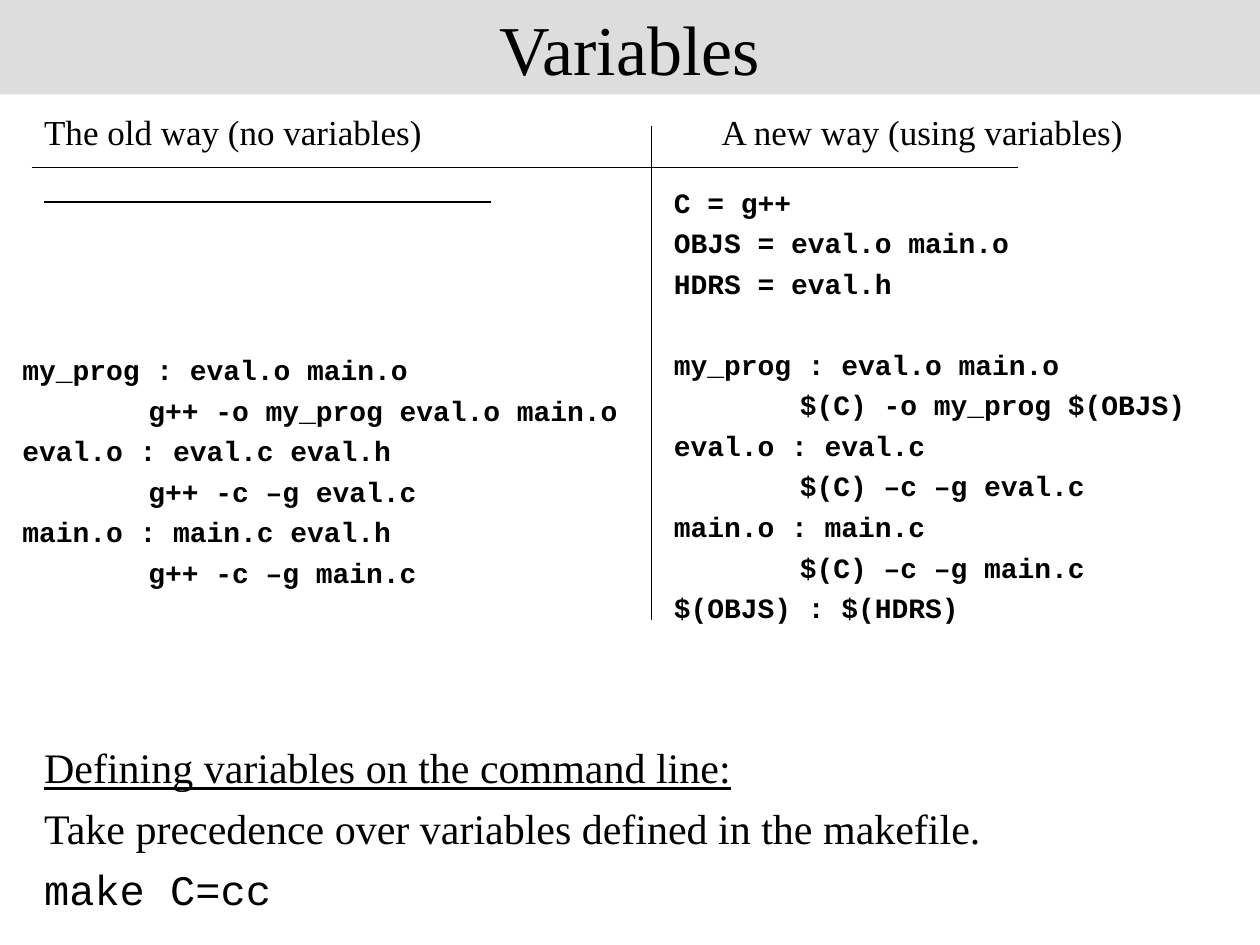
from lxml import etree
from pptx import Presentation
from pptx.dml.color import RGBColor
from pptx.enum.shapes import MSO_CONNECTOR
from pptx.enum.text import MSO_ANCHOR, MSO_AUTO_SIZE, PP_ALIGN
from pptx.oxml.ns import qn
from pptx.util import Inches, Pt

LINE = MSO_CONNECTOR.STRAIGHT
MIDDLE, TOP = MSO_ANCHOR.MIDDLE, MSO_ANCHOR.TOP
NO_FIT = MSO_AUTO_SIZE.NONE
CENTER, LEFT = PP_ALIGN.CENTER, PP_ALIGN.LEFT

COLORS = {"text": "000000", "bar": "DDDDDD", "page": "FFFFFF"}
SERIF, MONO = "Times New Roman", "Courier New"

OLD_RULES = [
    ("my_prog : eval.o main.o", "g++ -o my_prog eval.o main.o"),
    ("eval.o : eval.c eval.h", "g++ -c –g eval.c"),
    ("main.o : main.c eval.h", "g++ -c –g main.c"),
]
DEFINITIONS = [("C = g++",), ("OBJS = eval.o main.o",), ("HDRS = eval.h",)]
NEW_RULES = [
    ("my_prog : eval.o main.o", "$(C) -o my_prog $(OBJS)"),
    ("eval.o : eval.c", "$(C) –c –g eval.c"),
    ("main.o : main.c", "$(C) –c –g main.c"),
    ("$(OBJS) : $(HDRS)",),
]
BODY = [
    ("The old way (no variables)", 20, SERIF, 3.5, False),
    ("Defining variables on the command line:", 24, SERIF, 336.5, True),
    ("Take precedence over variables defined in the makefile.", 24, SERIF, 6, False),
    ("make C=cc", 24, MONO, 6, False),
]


def color(name):
    """Return the named colour."""
    return RGBColor.from_string(COLORS[name])


def place(shape, box):
    """Move a shape to a box of left, top, width and height in inches."""
    shape.left, shape.top, shape.width, shape.height = map(Inches, box)


def style(para, size, face, before=0, bold=False, underline=False):
    """Format a paragraph and its runs."""
    para.space_before, para.space_after = Pt(before), Pt(0)
    para.line_spacing = 1.0
    for span in para.runs:
        font = span.font
        font.size, font.name = Pt(size), face
        font.bold, font.underline = bold, underline
        font.color.rgb = color("text")


def set_indent(para, indent=0):
    """Remove the bullet and set the left indent in inches."""
    properties = para._p.get_or_add_pPr()
    properties.set("marL", str(Inches(indent)))
    properties.set("indent", "0")
    etree.SubElement(properties, qn("a:buNone"))


def add_title(page, box):
    """Fill the title placeholder as a grey bar."""
    title = page.shapes.title
    place(title, box)
    title.fill.solid()
    title.fill.fore_color.rgb = color("bar")
    frame = title.text_frame
    frame.text = "Variables"
    frame.auto_size, frame.vertical_anchor = NO_FIT, MIDDLE
    para = frame.paragraphs[0]
    para.alignment = CENTER
    style(para, 40, SERIF)


def add_body(page, box):
    """Fill the body placeholder with the left heading and closing notes."""
    body = page.placeholders[1]
    place(body, box)
    frame = body.text_frame
    frame.text = "\n".join(row[0] for row in BODY)
    frame.auto_size, frame.vertical_anchor = NO_FIT, TOP
    for para, (_, size, face, before, underline) in zip(frame.paragraphs, BODY):
        para.alignment = LEFT
        style(para, size, face, before, underline=underline)
        set_indent(para)


def add_heading(page, box):
    """Add the heading of the right column."""
    frame = page.shapes.add_textbox(*map(Inches, box)).text_frame
    frame.word_wrap = True
    frame.text = "A new way (using variables)"
    style(frame.paragraphs[0], 20, SERIF, 3.5)


def add_code(page, box, *groups):
    """Add a makefile listing with a wider gap between groups of rules."""
    frame = page.shapes.add_textbox(*map(Inches, box)).text_frame
    frame.word_wrap = True
    lines = [
        (text, depth, 27 if index + depth == 0 else 4)
        for group in groups
        for index, rule in enumerate(group)
        for depth, text in enumerate(rule)
    ]
    frame.text = "\n".join(line[0] for line in lines)
    for para, (_, depth, gap) in zip(frame.paragraphs, lines):
        style(para, 16, MONO, gap, bold=True)
        set_indent(para, depth)
    frame.paragraphs[0].space_before = Pt(3)


def add_rule(page, start, end, width=0.75):
    """Draw a thin line between two points."""
    rule = page.shapes.add_connector(LINE, *map(Inches, (*start, *end)))
    rule.line.color.rgb = color("text")
    rule.line.width = Pt(width)
    etree.SubElement(rule._element.spPr, qn("a:effectLst"))


def main():
    """Build and save the slide."""
    deck = Presentation()
    deck.slide_width, deck.slide_height = Inches(10), Inches(7.5)
    page = deck.slides.add_slide(deck.slide_layouts[1])
    page.background.fill.solid()
    page.background.fill.fore_color.rgb = color("page")
    add_title(page, (0, 0, 10, 0.75))
    add_body(page, (0.25, 0.83, 9.58, 6.5))
    add_heading(page, (5.63, 0.83, 4.2, 0.45))
    add_code(page, (5.25, 1.42, 4.75, 3.59), DEFINITIONS, NEW_RULES)
    add_rule(page, (0.25, 1.33), (8.08, 1.33))
    add_rule(page, (5.17, 1), (5.17, 4.92))
    add_rule(page, (0.35, 1.6), (3.9, 1.6), 1.25)
    add_code(page, (0.08, 2.75, 5.08, 1.98), OLD_RULES)
    deck.save("out.pptx")


if __name__ == "__main__":
    main()
